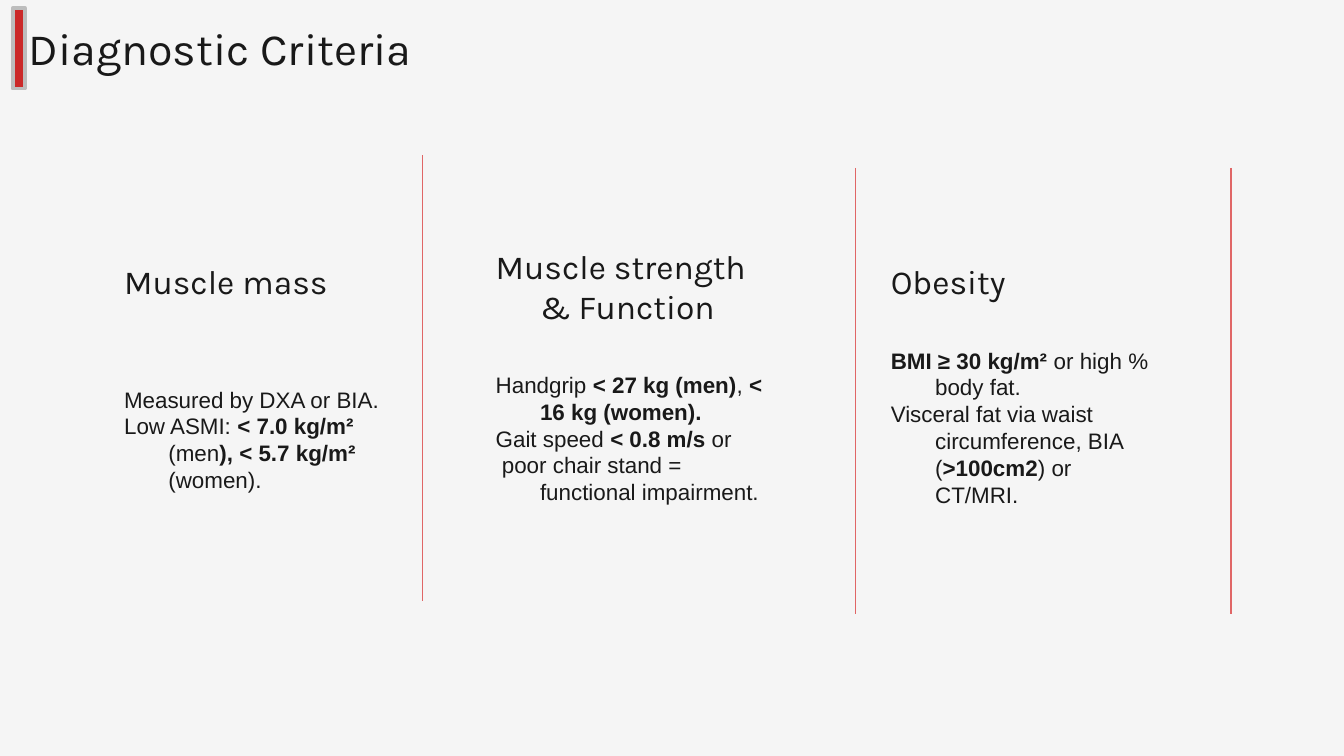
from lxml.etree import SubElement
from pptx import Presentation
from pptx.dml.color import RGBColor
from pptx.enum.shapes import MSO_CONNECTOR, MSO_SHAPE
from pptx.enum.text import MSO_ANCHOR
from pptx.oxml.ns import qn
from pptx.util import Pt

SCALE = 4572  # 200 px to the inch
INK, RED, ROSE, GRAY, PAPER = "191919", "CB2929", "E06666", "BDBDBD", "F5F5F5"
HANG = {"marL": 100, "indent": -66}
WIDE = 474


def px(n):
    return n * SCALE


def color(code):
    return RGBColor.from_string(code)


def assign(target, values):
    for name, value in values.items():
        setattr(target, name, value)


class Deck:
    title = {"name": "Karla", "size": Pt(24)}
    head = {"name": "Karla", "size": Pt(18)}
    body = {"name": "Arial", "size": Pt(12)}
    inset = {f"margin_{side}": px(20) for side in ("left", "top", "right", "bottom")}

    def __init__(self, wide, high):
        self.file = Presentation()
        assign(self.file, {"slide_width": px(wide), "slide_height": px(high)})
        self.slide = self.file.slides.add_slide(self.file.slide_layouts[6])
        self.shapes = self.slide.shapes
        fill = self.slide.background.fill
        fill.solid()
        fill.fore_color.rgb = color(PAPER)

    def text(self, box, lines, font, anchor=MSO_ANCHOR.TOP, hang=True):
        """Add a text box; parts between asterisks are bold."""
        frame = self.shapes.add_textbox(*map(px, box)).text_frame
        assign(frame, {"word_wrap": True, "vertical_anchor": anchor, **self.inset})
        for i, line in enumerate(lines):
            para = frame.add_paragraph() if i else frame.paragraphs[0]
            if hang:
                for key, value in HANG.items():
                    para._p.get_or_add_pPr().set(key, str(px(value)))
            for j, part in enumerate(line.split("*")):
                if part:
                    run = para.add_run()
                    run.text = part
                    assign(run.font, {**font, "bold": j % 2 == 1})
                    run.font.color.rgb = color(INK)

    def rule(self, x, top, end):
        """Add a thin vertical divider."""
        line = self.shapes.add_connector(
            MSO_CONNECTOR.STRAIGHT, px(x), px(top), px(x), px(end))
        line.line.width = Pt(0.75)
        line.line.color.rgb = color(ROSE)
        SubElement(line._element.spPr, qn("a:effectLst"))

    def bar(self, box):
        bar = self.shapes.add_shape(MSO_SHAPE.RECTANGLE, *map(px, box))
        bar.shadow.inherit = False
        bar.fill.solid()
        bar.fill.fore_color.rgb = color(RED)
        bar.line.width = Pt(2)
        bar.line.color.rgb = color(GRAY)


# left, heading top, body top, heading, body lines
COLUMNS = [
    (131, 352, 554, "Muscle mass",
     ["Measured by DXA or BIA.",
      "Low ASMI: *< 7.0 kg/m² *(men*), < 5.7 kg/m² *(women)."]),
    (684, 390, 532, "Muscle strength & Function",
     ["Handgrip *< 27 kg (men)*, *< 16 kg (women).*",
      "Gait speed *< 0.8 m/s *or",
      " poor chair stand = functional impairment."]),
    (1272, 352, 496, "Obesity",
     ["*BMI ≥ 30 kg/m² *or high % body fat.",
      "Visceral fat via waist circumference, BIA (*>100cm2*) or CT/MRI."]),
]
RULES = [(629, 231, 894), (1273, 250, 914), (1832, 250, 914)]


def main():
    deck = Deck(2000, 1125)
    for left, high, low, name, lines in COLUMNS:
        deck.text((left, high, WIDE, 116), [name], deck.head, MSO_ANCHOR.BOTTOM)
        deck.text((left, low, WIDE, 418), lines, deck.body)
    for rule in RULES:
        deck.rule(*rule)
    deck.text((23, 11, 1418, 120), ["Diagnostic Criteria"], deck.title, hang=False)
    deck.bar((19, 12, 18, 120))
    deck.file.save("out.pptx")


if __name__ == "__main__":
    main()
